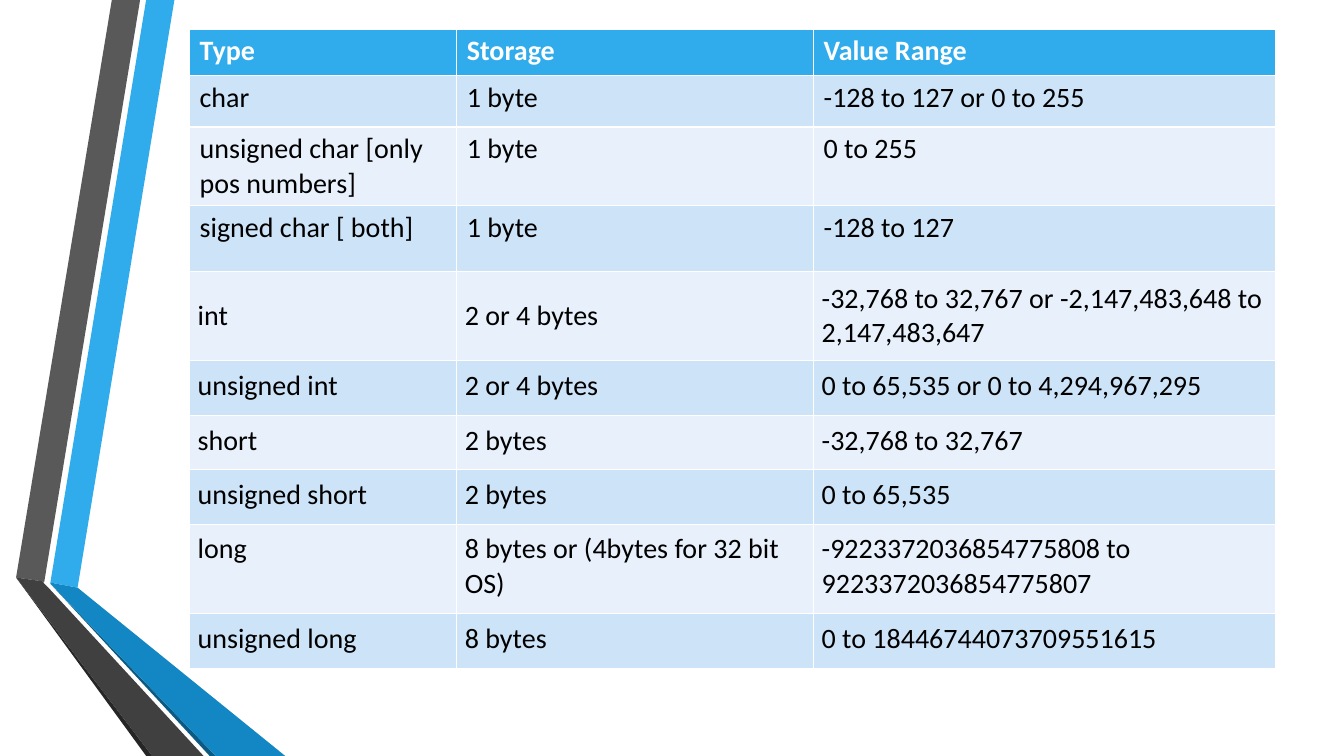
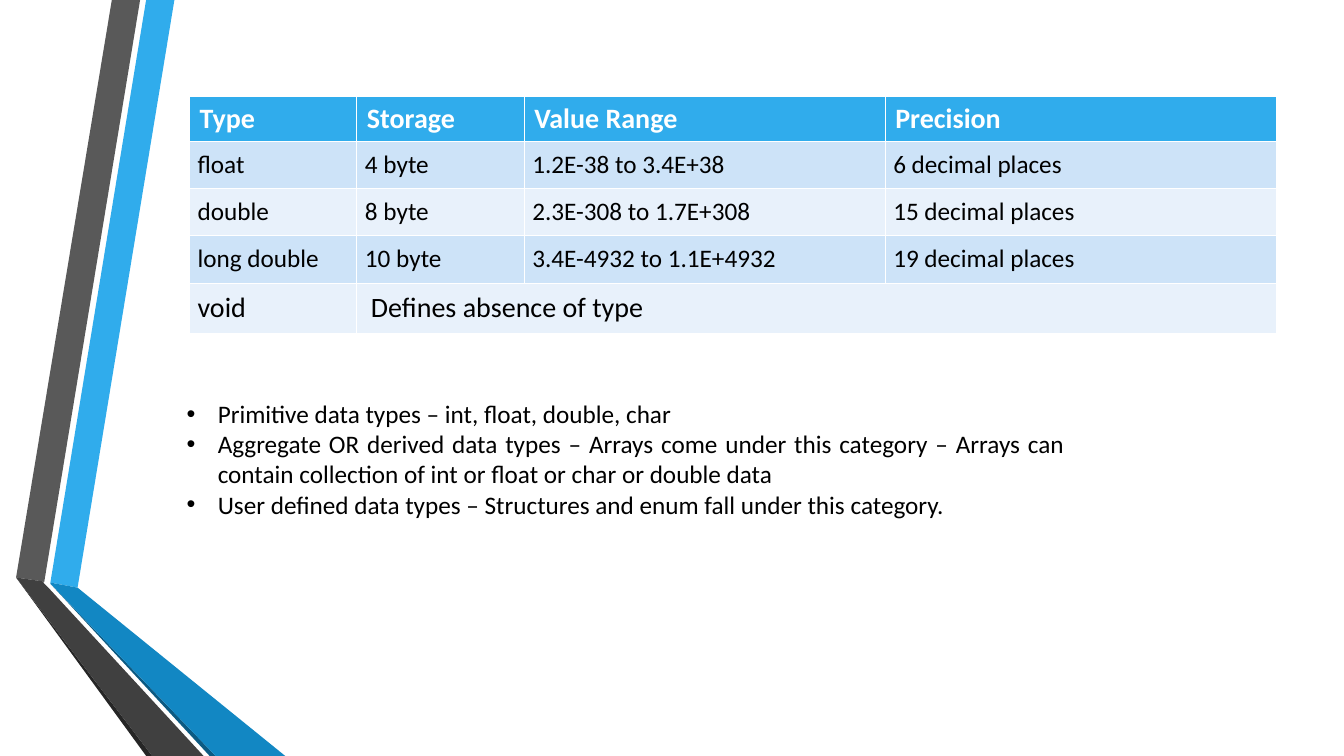
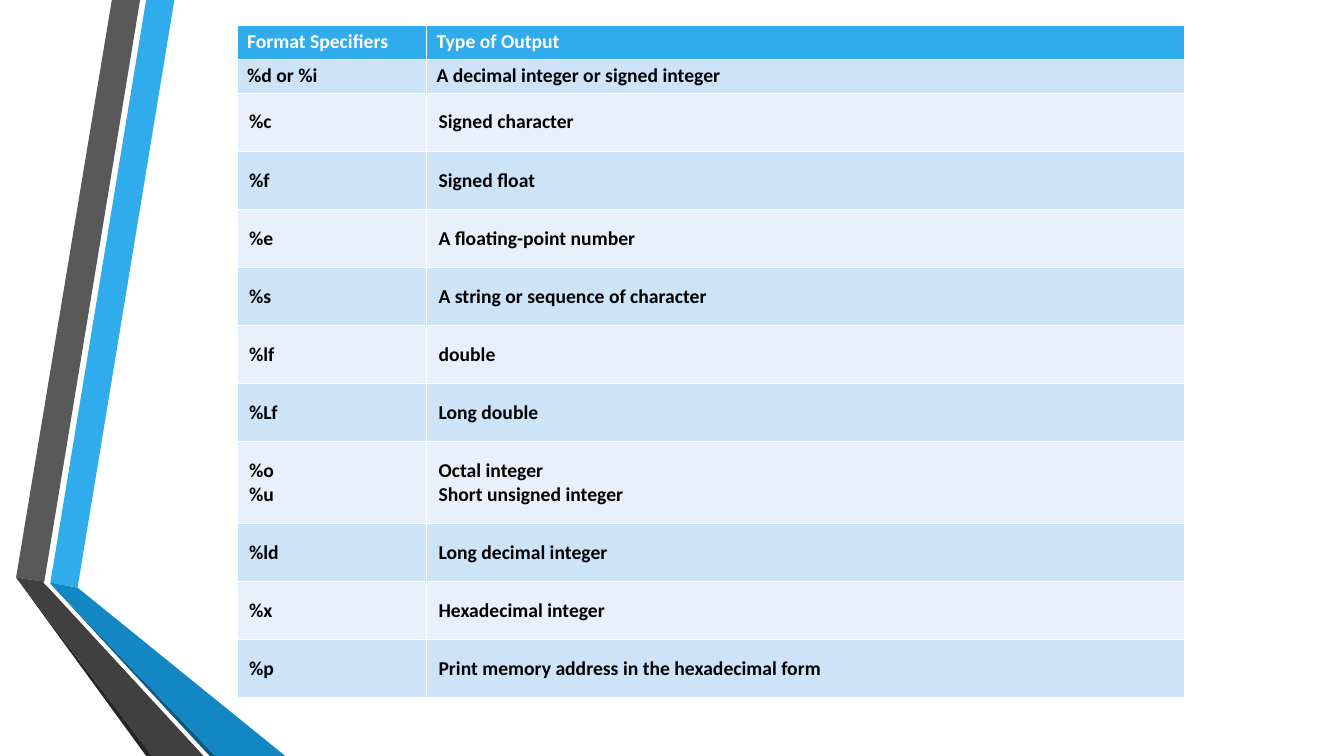
from pptx import Presentation
from pptx.dml.color import RGBColor
from pptx.enum.text import MSO_ANCHOR, PP_ALIGN
from pptx.util import Inches, Pt

TOP, MIDDLE = MSO_ANCHOR.TOP, MSO_ANCHOR.MIDDLE
JUSTIFY = PP_ALIGN.JUSTIFY
FONT = "Calibri"
UNIT = 9144

HUES = {
    "sky": "30ACEC", "blue": "1287C3", "navy": "0C5A82",
    "gray": "595959", "coal": "404040", "soot": "262626",
    "odd": "CDE3F8", "even": "E8F1FB", "white": "FFFFFF", "black": "000000",
}

BANDS = [
    ("sky", [(50, 578), (77, 583), (173, 0), (145, 0)]),
    ("gray", [(139, 0), (111, 0), (16, 573), (44, 577)]),
    ("soot", [(16, 573), (145, 750), (151, 750)]),
    ("navy", [(50, 579), (208, 750), (214, 750)]),
    ("blue", [(50, 579), (214, 750), (283, 750), (77, 583), (50, 578)]),
    ("coal", [(202, 750), (48, 583), (43, 578), (44, 577), (16, 573), (151, 750)]),
]

STYLES = {
    "plain": (0.1, 0.05, TOP),
    "tight": (0.08, 0.08, TOP),
    "mid": (0.08, 0.08, MIDDLE),
    "wide": (0.12, 0.17, MIDDLE),
}

WHOLE = {
    "at": (1.88, 0.29), "cols": (2.65, 3.54, 4.58), "bold": False,
    "rows": [
        (0.46, "plain", 20, ["Type", "Storage", "Value Range"]),
        (0.51, "plain", 20, ["char", "1 byte", "-128 to 127 or 0 to 255"]),
        (0.78, "plain", 20, ["unsigned char [only pos numbers]", "1 byte", "0 to 255"]),
        (0.65, "plain", 20, ["signed char [ both]", "1 byte", "-128 to 127"]),
        (0.89, "mid", 20, ["int", "2 or 4 bytes", "-32,768 to 32,767 or -2,147,483,648 to 2,147,483,647"]),
        (0.54, "tight", 20, ["unsigned int", "2 or 4 bytes", "0 to 65,535 or 0 to 4,294,967,295"]),
        (0.54, "tight", 20, ["short", "2 bytes", "-32,768 to 32,767"]),
        (0.54, "tight", 20, ["unsigned short", "2 bytes", "0 to 65,535"]),
        (0.89, "tight", 20, ["long", "8 bytes or (4bytes for 32 bit OS)", "-9223372036854775808 to 9223372036854775807"]),
        (0.54, "tight", 20, ["unsigned long", "8 bytes", "0 to 18446744073709551615"]),
    ],
}

REAL = {
    "at": (1.88, 0.96), "cols": (1.66, 1.66, 3.58, 3.88), "bold": False,
    "rows": [
        (0.43, "plain", 20, ["Type", "Storage", "Value Range", "Precision"]),
        (0.47, "tight", 18, ["float", "4 byte", "1.2E-38 to 3.4E+38", "6 decimal places"]),
        (0.47, "tight", 18, ["double", "8 byte", "2.3E-308 to 1.7E+308", "15 decimal places"]),
        (0.47, "tight", 18, ["long double", "10 byte", "3.4E-4932 to 1.1E+4932", "19 decimal places"]),
        (0.5, "mid", 20, ["void", "Defines absence of type"]),
    ],
}

KINDS = [
    "Primitive data types – int, float, double, char",
    "Aggregate OR derived data types – Arrays come under this category – Arrays can contain collection of int or float or char or double data",
    "User defined data types – Structures and enum fall under this category.",
]

CODES = [
    ("%c", "Signed character"),
    ("%f", "Signed float"),
    ("%e", "A floating-point number"),
    ("%s", "A string or sequence of character"),
    ("%lf", "double"),
    ("%Lf", "Long double"),
    ("%o\n%u", "Octal integer\nShort unsigned integer"),
    ("%ld", "Long decimal integer"),
    ("%x", "Hexadecimal integer"),
    ("%p", "Print memory address in the hexadecimal form"),
]

FORMATS = {
    "at": (2.35, 0.25), "cols": (1.88, 7.52), "bold": True,
    "rows": [
        (0.33, "plain", 14, ["Format Specifiers", "Type of Output"]),
        (0.33, "plain", 14, ["%d or %i", "A decimal integer or signed integer"]),
    ] + [(0.8 if "\n" in pair[0] else 0.57, "wide", 14, pair) for pair in CODES],
}


def paint(fill, hue):
    fill.solid()
    fill.fore_color.rgb = RGBColor.from_string(HUES[hue])


def set_font(para, size, hue, bold):
    font = para.font
    font.name, font.size, font.bold = FONT, Pt(size), bold
    font.color.rgb = RGBColor.from_string(HUES[hue])


def add_bands(slide, master):
    for hue, points in BANDS:
        pen = slide.shapes.build_freeform(*points[0], scale=UNIT)
        pen.add_line_segments(points[1:], close=True)
        band = pen.convert_to_shape()
        band.shadow.inherit = False
        paint(band.fill, hue)
        band.line.fill.background()
        master.shapes.element.append(band.element)


def fill_cell(cell, text, style, size, hue, ink, bold):
    side, edge, anchor = STYLES[style]
    cell.margin_left = cell.margin_right = Inches(side)
    cell.margin_top = cell.margin_bottom = Inches(edge)
    cell.vertical_anchor = anchor
    paint(cell.fill, hue)
    cell.text = text
    for para in cell.text_frame.paragraphs:
        set_font(para, size, ink, bold)


def add_grid(slide, data):
    rows, cols = data["rows"], data["cols"]
    left, top = data["at"]
    high = sum(row[0] for row in rows)
    grid = slide.shapes.add_table(
        len(rows), len(cols), Inches(left), Inches(top),
        Inches(sum(cols)), Inches(high)).table
    for col, width in zip(grid.columns, cols):
        col.width = Inches(width)
    for r, (height, style, size, texts) in enumerate(rows):
        grid.rows[r].height = Inches(height)
        head = r == 0
        hue = "sky" if head else "odd" if r % 2 else "even"
        ink = "white" if head else "black"
        for c, text in enumerate(texts):
            fill_cell(grid.cell(r, c), text, style, size, hue, ink, head or data["bold"])
        if len(texts) < len(cols):
            last = grid.cell(r, len(texts) - 1)
            last.merge(grid.cell(r, len(cols) - 1))
            last.margin_left = Inches(0.14)


def add_list(slide, items):
    title = slide.shapes.title.element
    title.getparent().remove(title)
    body = slide.placeholders[1]
    body.left, body.top = Inches(1.75), Inches(3.9)
    body.width, body.height = Inches(8.91), Inches(1.31)
    frame = body.text_frame
    frame.text = "\n".join(items)
    for para in frame.paragraphs:
        set_font(para, 18, "black", False)
        para.alignment = JUSTIFY
        para.space_before = Pt(0)
        props = para._p.get_or_add_pPr()
        props.set("marL", str(Inches(0.31)))
        props.set("indent", str(-Inches(0.31)))


def main():
    prs = Presentation()
    prs.slide_width, prs.slide_height = Inches(13.33), Inches(7.5)
    listed, blank = prs.slide_layouts[1], prs.slide_layouts[6]
    pages = [(blank, WHOLE, []), (listed, REAL, KINDS), (blank, FORMATS, [])]
    for n, (layout, data, items) in enumerate(pages):
        slide = prs.slides.add_slide(layout)
        if n == 0:
            add_bands(slide, prs.slide_master)
        add_grid(slide, data)
        if items:
            add_list(slide, items)
    prs.save("out.pptx")


if __name__ == "__main__":
    main()
